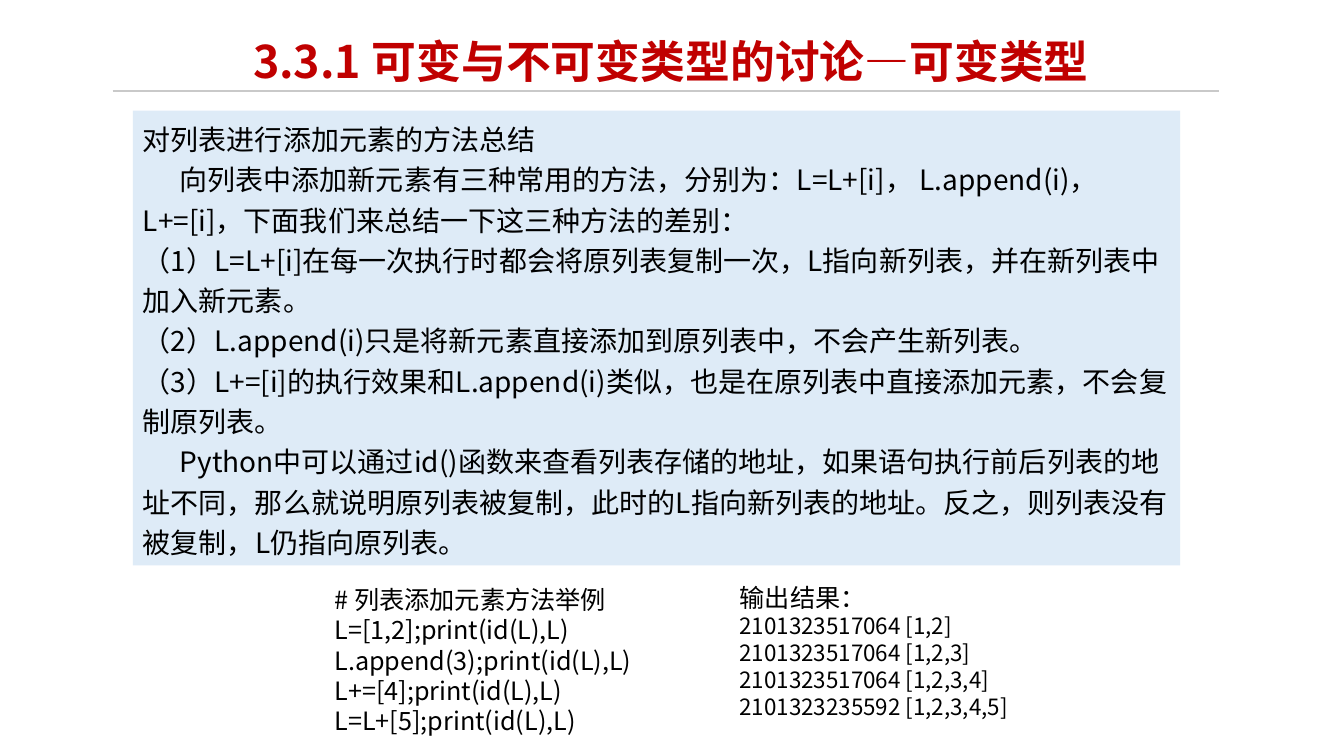
from lxml import etree
from pptx import Presentation
from pptx import util as u
from pptx.dml.color import RGBColor
from pptx.enum import shapes, text
from pptx.oxml.ns import qn

RED = RGBColor(0xC0, 0x00, 0x00)
BLACK = RGBColor(0x00, 0x00, 0x00)
WHITE = RGBColor(0xFF, 0xFF, 0xFF)
PALE_BLUE = RGBColor(0xDE, 0xEB, 0xF7)
GREY = RGBColor(0xC9, 0xC9, 0xC9)

TITLE = "3.3.1 可变与不可变类型的讨论—可变类型"
SUMMARY = [
    ("对列表进行添加元素的方法总结", 0),
    ("向列表中添加新元素有三种常用的方法，分别为：L=L+[i]， L.append(i)，L+=[i]，"
     "下面我们来总结一下这三种方法的差别：", 0.93),
    ("（1）L=L+[i]在每一次执行时都会将原列表复制一次，L指向新列表，并在新列表中加入新元素。", 0),
    ("（2）L.append(i)只是将新元素直接添加到原列表中，不会产生新列表。", 0),
    ("（3）L+=[i]的执行效果和L.append(i)类似，也是在原列表中直接添加元素，不会复制原列表。", 0),
    ("Python中可以通过id()函数来查看列表存储的地址，如果语句执行前后列表的地址不同，"
     "那么就说明原列表被复制，此时的L指向新列表的地址。反之，则列表没有被复制，"
     "L仍指向原列表。", 0.93),
]
CODE = [
    "# 列表添加元素方法举例",
    "L=[1,2];print(id(L),L)",
    "L.append(3);print(id(L),L)",
    "L+=[4];print(id(L),L)",
    "L=L+[5];print(id(L),L)",
]
RESULTS = [
    "2101323517064 [1,2]",
    "2101323517064 [1,2,3] 2101323517064 [1,2,3,4]",
    "2101323235592 [1,2,3,4,5]",
]


class SlideBuilder:
    font = "Noto Sans CJK SC"

    def __init__(self, slide):
        self.s = slide

    def rule(self, x1, x2, y, color):
        """Draw a thin horizontal line."""
        c = self.s.shapes.add_connector(
            shapes.MSO_CONNECTOR.STRAIGHT, u.Cm(x1), u.Cm(y), u.Cm(x2), u.Cm(y))
        c.line.color.rgb = color
        c.line.width = u.Pt(1)
        etree.SubElement(c._element.spPr, qn("a:effectLst"))

    def panel(self, x, y, w, h, fill):
        sp = self.s.shapes.add_shape(
            shapes.MSO_SHAPE.RECTANGLE, u.Cm(x), u.Cm(y), u.Cm(w), u.Cm(h))
        sp.shadow.inherit = False
        sp.fill.solid()
        sp.fill.fore_color.rgb = fill
        sp.line.fill.background()
        return self.top_frame(sp)

    def text_box(self, x, y, w, h):
        return self.top_frame(
            self.s.shapes.add_textbox(u.Cm(x), u.Cm(y), u.Cm(w), u.Cm(h)))

    def top_frame(self, sp):
        """Return the shape's text frame, wrapping and anchored at the top."""
        tf = sp.text_frame
        tf.word_wrap = True
        tf.vertical_anchor = text.MSO_ANCHOR.TOP
        return tf

    def paragraph(self, tf, words, size, leading=1.2, indent=0, color=BLACK,
                  bold=False, align=text.PP_ALIGN.LEFT):
        """Add a paragraph; leading is the line pitch in multiples of size."""
        p = tf.paragraphs[0] if not tf.text else tf.add_paragraph()
        p.text = words
        p.alignment = align
        p.line_spacing = u.Pt(round(size * leading, 1))
        p.font.size = u.Pt(size)
        p.font.bold = bold
        p.font.color.rgb = color
        p.font.name = self.font
        pPr = p._p.pPr
        etree.SubElement(pPr.find(qn("a:defRPr")), qn("a:ea"), typeface=self.font)
        if indent:
            pPr.set("indent", str(u.Cm(indent)))


def main():
    prs = Presentation()
    prs.slide_width, prs.slide_height = u.Cm(33.87), u.Cm(19.05)
    b = SlideBuilder(prs.slides.add_slide(prs.slide_layouts[6]))

    b.rule(2.84, 30.71, 2.29, GREY)
    title = b.text_box(5.97, 0.86, 21.89, 1.8)
    b.paragraph(title, TITLE, 32, leading=1.08, color=RED, bold=True,
                align=text.PP_ALIGN.CENTER)

    code = b.panel(7.44, 14.6, 9.14, 3.58, WHITE)
    for line in CODE:
        b.paragraph(code, line, 18, indent=0.74, align=text.PP_ALIGN.JUSTIFY)

    output = b.text_box(18.39, 14.55, 9.14, 3.76)
    b.paragraph(output, "输出结果：", 18)
    for line in RESULTS:
        b.paragraph(output, line, 16)

    summary = b.panel(3.35, 2.79, 26.39, 11.46, PALE_BLUE)
    for words, indent in SUMMARY:
        b.paragraph(summary, words, 20, leading=1.44, indent=indent)

    prs.save("out.pptx")


if __name__ == "__main__":
    main()
